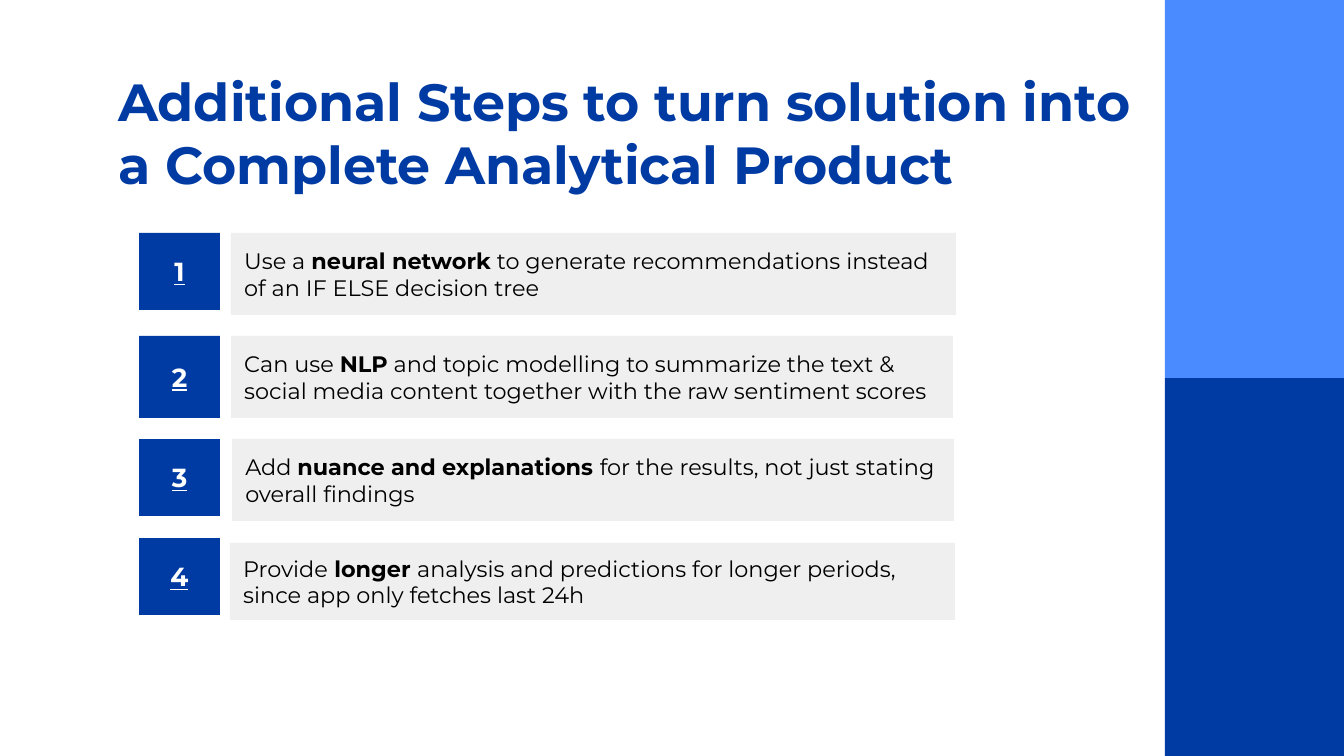
from typing import NamedTuple

from pptx import Presentation
from pptx.dml.color import RGBColor
from pptx.enum.shapes import MSO_SHAPE
from pptx.enum.text import MSO_ANCHOR, PP_ALIGN
from pptx.util import Emu, Pt

SCALE = 914400 / 134.4  # EMU per px
NAVY = RGBColor(0x00, 0x3B, 0xA3)
BLUE = RGBColor(0x4A, 0x8C, 0xFF)
GREY = RGBColor(0xEF, 0xEF, 0xEF)
BLACK = RGBColor(0x00, 0x00, 0x00)
WHITE = RGBColor(0xFF, 0xFF, 0xFF)

HEAD = {"size": Pt(28), "bold": True}
BODY = {"size": Pt(12), "bold": False}
STRONG = BODY | {"bold": True}
COUNT = {"size": Pt(14), "bold": True, "underline": True}


class Box(NamedTuple):
    left: int
    top: int
    width: int
    height: int


class Step(NamedTuple):
    card: Box
    tag: Box
    lead: str
    key: str
    rest: str


TOP, PITCH = 233, 103
TAG_X, TAG_W = 139, 81
ROWS = [TOP + PITCH * i for i in range(4)]

STEPS = [
    Step(Box(231, ROWS[0], 725, 82), Box(TAG_X, ROWS[0], TAG_W, 77),
         "Use a ", "neural network",
         " to generate recommendations instead of an IF ELSE decision tree"),
    Step(Box(231, ROWS[1], 722, 82), Box(TAG_X, ROWS[1], TAG_W, 82),
         "Can use ", "NLP",
         " and topic modelling to summarize the text & social media content "
         "together with the raw sentiment scores"),
    Step(Box(232, ROWS[2], 722, 82), Box(TAG_X, ROWS[2], TAG_W, 77),
         "Add ", "nuance and explanations ",
         "for the results, not just stating overall findings"),
    Step(Box(230, ROWS[3] + 1, 725, 77), Box(TAG_X, ROWS[3] - 4, TAG_W, 77),
         "Provide", " longer ",
         "analysis and predictions for longer periods, "
         "since app only fetches last 24h"),
]


def px(num: int) -> Emu:
    return Emu(round(num * SCALE))


def block(slide, box: Box, fill: RGBColor):
    """Draw a plain filled rectangle."""
    shape = slide.shapes.add_shape(MSO_SHAPE.RECTANGLE, *map(px, box))
    shape.shadow.inherit = False
    shape.fill.solid()
    shape.fill.fore_color.rgb = fill
    shape.line.fill.background()
    return shape


def write(shape, runs: list[tuple[str, dict]], color: RGBColor,
          align=PP_ALIGN.LEFT, anchor=MSO_ANCHOR.MIDDLE) -> None:
    """Set one paragraph made of styled runs."""
    frame = shape.text_frame
    frame.word_wrap = True
    frame.vertical_anchor = anchor
    for side in ("left", "right", "top", "bottom"):
        setattr(frame, f"margin_{side}", Pt(7.2))
    para = frame.paragraphs[0]
    para.alignment = align
    for text, style in runs:
        run = para.add_run()
        run.text = text
        run.font.color.rgb = color
        for name, value in ({"name": "Montserrat"} | style).items():
            setattr(run.font, name, value)


def main() -> None:
    deck = Presentation()
    deck.slide_width, deck.slide_height = px(1344), px(756)
    slide = deck.slides.add_slide(deck.slide_layouts[6])

    # Side bands
    for top, fill in ((378, NAVY), (0, BLUE)):
        block(slide, Box(1165, top, 179, 378), fill)

    # Title
    title = slide.shapes.add_textbox(*map(px, Box(105, 56, 1081, 95)))
    text = "Additional Steps to turn solution into a Complete Analytical Product"
    write(title, [(text, HEAD)], NAVY, anchor=MSO_ANCHOR.TOP)

    # Numbered steps
    for num, step in enumerate(STEPS, 1):
        runs = [(step.lead, BODY), (step.key, STRONG), (step.rest, BODY)]
        write(block(slide, step.card, GREY), runs, BLACK)
        write(block(slide, step.tag, NAVY), [(str(num), COUNT)], WHITE,
              align=PP_ALIGN.CENTER)

    deck.save("out.pptx")


if __name__ == "__main__":
    main()
